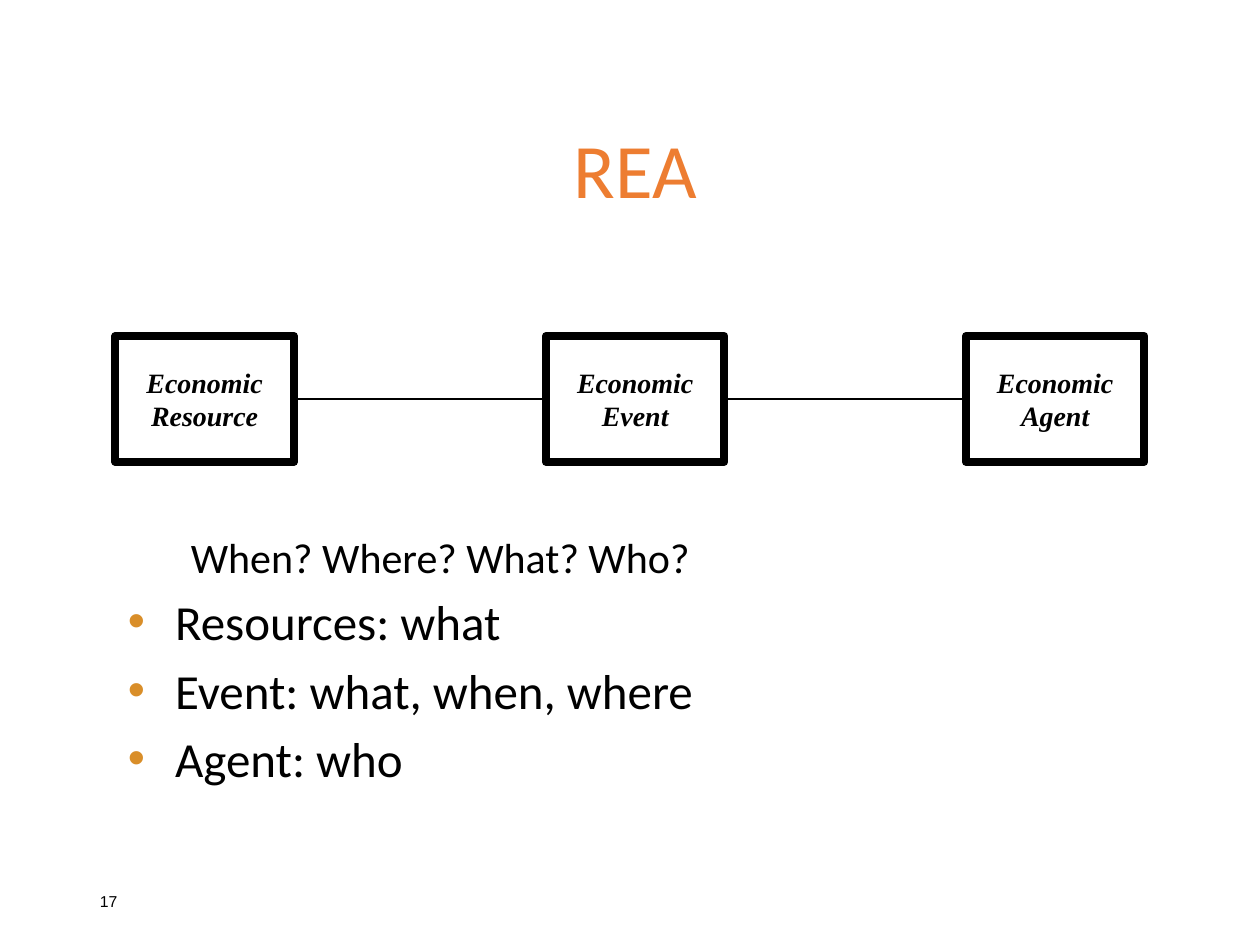
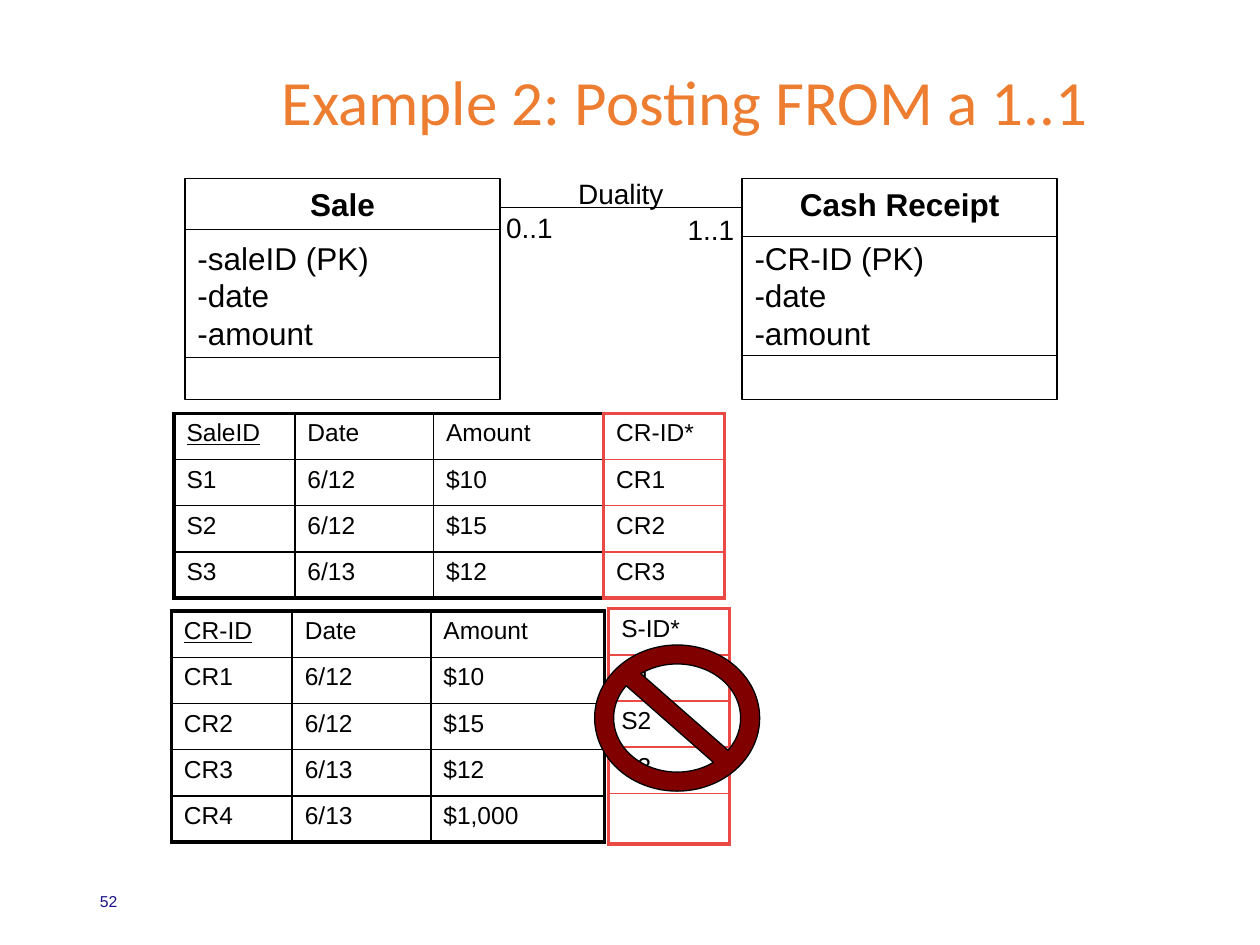
from pptx import Presentation
from pptx.dml.color import RGBColor
from pptx.enum.shapes import MSO_CONNECTOR, MSO_SHAPE
from pptx.enum.text import MSO_ANCHOR, PP_ALIGN
from pptx.oxml.ns import qn
from pptx.util import Pt
from lxml.etree import SubElement

COLORS = {
    "ink": "000000",
    "paper": "FFFFFF",
    "title": "ED7D31",
    "bullet": "D98E29",
    "navy": "19138D",
    "foreign_key": "EB4945",
    "forbidden": "800000",
}
ROW_HEIGHT = 26.4
RECORD_COLUMNS = [69.1, 79.2, 99.4]
KEY_COLUMN = [69.1]


def color(name):
    return RGBColor.from_string(COLORS[name])


# ---- Text ----

def add_bullet(para, hanging):
    properties = para._p.get_or_add_pPr()
    properties.set("marL", str(Pt(hanging)))
    properties.set("indent", str(-Pt(hanging)))
    tint = SubElement(properties, qn("a:buClr"))
    SubElement(tint, qn("a:srgbClr"), val=COLORS["bullet"])
    SubElement(properties, qn("a:buFont"), typeface="Arial")
    SubElement(properties, qn("a:buChar"), char="•")


def write_line(para, text, size=16, font="Arial", ink="ink", bold=False, italic=False,
               underline=False, align=PP_ALIGN.LEFT, before=0, indent=0, hanging=0):
    if hanging:
        add_bullet(para, hanging)
    elif indent:
        para._p.get_or_add_pPr().set("marL", str(Pt(indent)))
    para.alignment = align
    para.space_before = Pt(before)
    span = para.add_run()
    span.text = text
    span.font.size = Pt(size)
    span.font.name = font
    span.font.bold = bold
    span.font.italic = italic
    span.font.underline = underline
    span.font.color.rgb = color(ink)


def write_lines(frame, lines, anchor=MSO_ANCHOR.TOP, wrap=True, **shared):
    """Each line is a string, or a pair of a string and its own format."""
    frame.word_wrap = wrap
    frame.vertical_anchor = anchor
    for number, line in enumerate(lines):
        text, own = (line, {}) if isinstance(line, str) else line
        para = frame.add_paragraph() if number else frame.paragraphs[0]
        write_line(para, text, **{**shared, **own})


def add_text(page, box, *lines, **format_options):
    text_box = page.shapes.add_textbox(*map(Pt, box))
    write_lines(text_box.text_frame, lines, **format_options)


# ---- Shapes ----

def add_box(page, kind, box, fill=None, weight=0.75):
    shape = page.shapes.add_shape(kind, *map(Pt, box))
    shape.shadow.inherit = False
    if fill:
        shape.fill.solid()
        shape.fill.fore_color.rgb = color(fill)
    else:
        shape.fill.background()
    shape.line.color.rgb = color("ink")
    shape.line.width = Pt(weight)
    return shape


def add_rule(page, left, right, height, weight=0.5):
    ends = map(Pt, (left, height, right, height))
    rule = page.shapes.add_connector(MSO_CONNECTOR.STRAIGHT, *ends)
    rule.line.color.rgb = color("ink")
    rule.line.width = Pt(weight)
    SubElement(rule._element.spPr, qn("a:effectLst"))


# ---- Parts shared by the slides ----

def add_page(deck, title, title_box, number, number_ink="ink", **title_format):
    page = deck.slides.add_slide(deck.slide_layouts[6])
    add_text(page, (50, 500.4, 162, 28.8), number, size=9, ink=number_ink,
             anchor=MSO_ANCHOR.MIDDLE)
    add_text(page, title_box, title, font="Calibri", ink="title",
             align=PP_ALIGN.CENTER, **title_format)
    return page


# ---- Tables ----

def set_border(cell, side, ink, weight):
    properties = cell._tc.get_or_add_tcPr()
    line = SubElement(properties, qn(f"a:ln{side}"), w=str(Pt(weight)))
    fill = SubElement(line, qn("a:solidFill"))
    SubElement(fill, qn("a:srgbClr"), val=COLORS[ink])


def add_records(page, left, top, widths, rows, ink="ink", fill=None, key=False):
    """A grid with a heavy frame and thin inner lines; key underlines the first heading."""
    last_row, last_column = len(rows) - 1, len(widths) - 1
    place = map(Pt, (left, top, sum(widths), ROW_HEIGHT * len(rows)))
    table = page.shapes.add_table(len(rows), len(widths), *place).table
    table.first_row = table.horz_banding = False
    for column, width in zip(table.columns, widths):
        column.width = Pt(width)
    for row_number, values in enumerate(rows):
        table.rows[row_number].height = Pt(ROW_HEIGHT)
        for column_number, value in enumerate(values):
            cell = table.cell(row_number, column_number)
            at_edge = {
                "L": column_number == 0,
                "R": column_number == last_column,
                "T": row_number == 0,
                "B": row_number == last_row,
            }
            for side, heavy in at_edge.items():
                set_border(cell, side, ink, 2.25 if heavy else 1)
            if fill:
                cell.fill.solid()
                cell.fill.fore_color.rgb = color(fill)
            else:
                cell.fill.background()
            write_line(cell.text_frame.paragraphs[0], value, size=14,
                       underline=key and row_number == column_number == 0)


# ---- REA slide ----

def add_entity_chain(page, top, lefts, names, width=102, height=72):
    for left, name in zip(lefts, names):
        entity = add_box(page, MSO_SHAPE.RECTANGLE, (left, top, width, height),
                         fill="paper", weight=4.5)
        write_lines(entity.text_frame, ["Economic", name], anchor=MSO_ANCHOR.MIDDLE,
                    wrap=False, font="Times New Roman", bold=True, italic=True,
                    align=PP_ALIGN.CENTER)
    for left, right in zip(lefts, lefts[1:]):
        add_rule(page, left + width, right, top + height / 2, weight=1.5)


def build_rea(deck):
    page = add_page(deck, "REA", (60, 66, 606, 90), "17", size=44)
    add_entity_chain(page, 192, [66, 312, 552], ["Resource", "Event", "Agent"])

    # Questions and the parts that answer them
    answers = ["Resources: what", "Event: what, when, where", "Agent: who"]
    bullet = {"hanging": 27, "before": 5.6}
    add_text(page, (66, 300, 618, 216),
             ("When? Where? What? Who?", {"size": 24, "indent": 36}),
             *[(answer, bullet) for answer in answers], font="Calibri", size=28)


# ---- Posting slide ----

def add_class(page, left, top, name, key, dividers, width=180, height=126):
    frame = add_box(page, MSO_SHAPE.RECTANGLE, (left, top, width, height)).text_frame
    heading = (name, {"bold": True, "align": PP_ALIGN.CENTER})
    write_lines(frame, [heading, (f"-{key} (PK)", {"before": 9}), "-date", "-amount"],
                size=18)
    for divider in dividers:
        add_rule(page, left, left + width, top + divider)


def add_association(page, left, right, height):
    add_rule(page, left, right, height)
    add_text(page, (left - 3.6, height - 2.2, 55.4, 26.6), "0..1")
    add_text(page, (right - 38.2, height - 0.7, 55.4, 26.6), "1..1")
    add_text(page, (left + 37.5, height - 21.6, 63.4, 26.6), "Duality")


def build_posting(deck):
    page = add_page(deck, "Example 2: Posting FROM a 1..1", (118, 30.2, 546.5, 54.7),
                    "52", number_ink="navy", size=36, anchor=MSO_ANCHOR.MIDDLE)

    # Sale and cash receipt records
    add_records(page, 99.4, 236.2, RECORD_COLUMNS, [
        ("SaleID", "Date", "Amount"),
        ("S1", "6/12", "$10"),
        ("S2", "6/12", "$15"),
        ("S3", "6/13", "$12"),
    ], key=True)
    add_records(page, 97.9, 349.2, RECORD_COLUMNS, [
        ("CR-ID", "Date", "Amount"),
        ("CR1", "6/12", "$10"),
        ("CR2", "6/12", "$15"),
        ("CR3", "6/13", "$12"),
        ("CR4", "6/13", "$1,000"),
    ], key=True)

    # Posted keys, the second of them forbidden
    posted_keys = [
        (344.9, 236.2, ["CR-ID*", "CR1", "CR2", "CR3"]),
        (347.8, 347.8, ["S-ID*", "S1", "S2", "S3", ""]),
    ]
    for left, top, values in posted_keys:
        add_records(page, left, top, KEY_COLUMN, [(value,) for value in values],
                    ink="foreign_key", fill="paper")
    stop_sign = add_box(page, MSO_SHAPE.NO_SYMBOL, (339.8, 368.6, 94.3, 83.5),
                        fill="forbidden")
    stop_sign.adjustments[0] = 0.13

    # Class diagram
    add_class(page, 105.8, 102.2, "Sale", "saleID", [28.8, 102.2])
    add_class(page, 424.1, 102.2, "Cash Receipt", "CR-ID", [33.1, 100.8])
    add_association(page, 285.8, 424.1, 118.8)


def main():
    deck = Presentation()
    deck.slide_width, deck.slide_height = Pt(720), Pt(540)
    build_rea(deck)
    build_posting(deck)
    deck.save("out.pptx")


if __name__ == "__main__":
    main()
